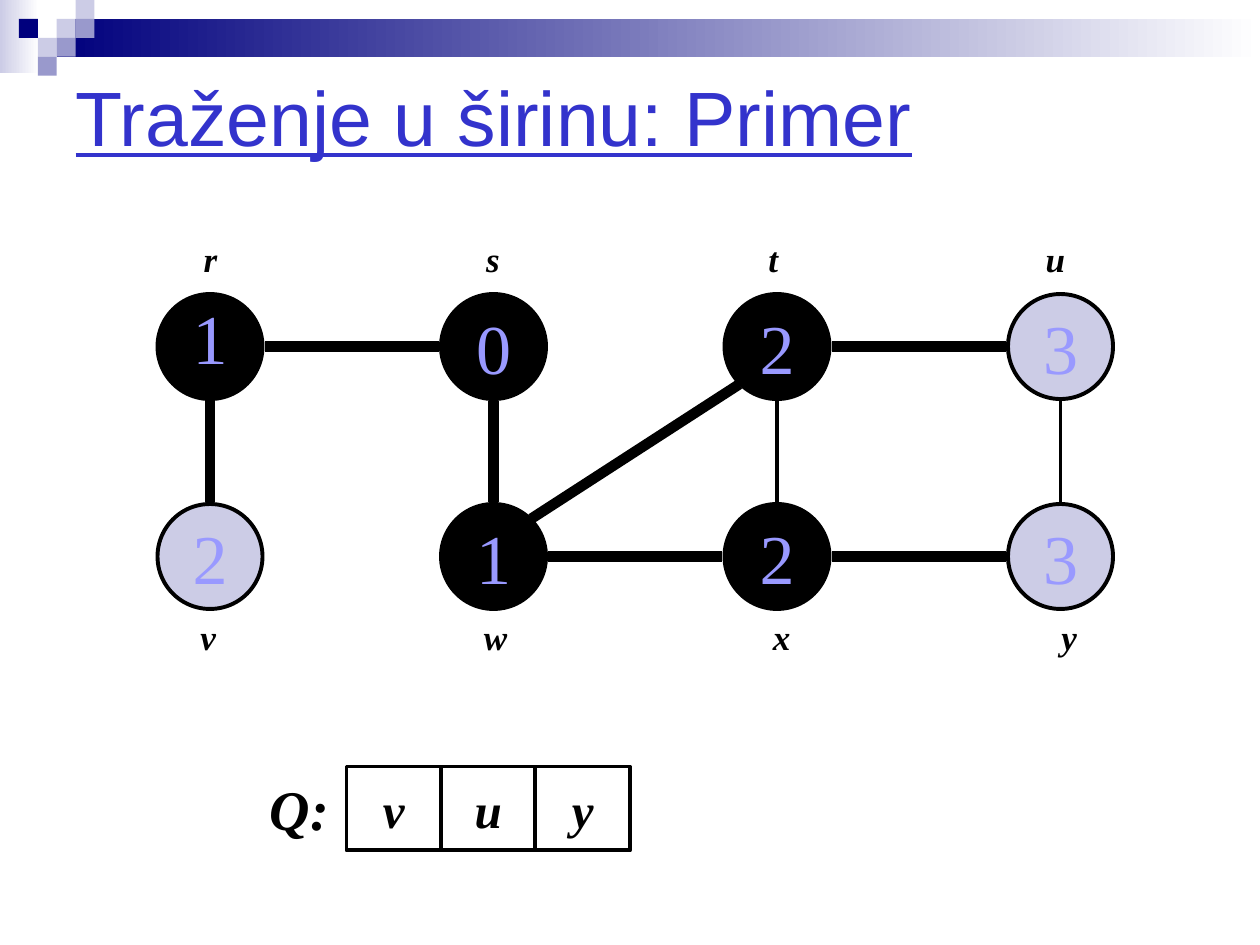
from lxml.etree import SubElement
from pptx import Presentation
from pptx.dml.color import RGBColor
from pptx.enum.shapes import MSO_CONNECTOR as CONNECTOR, MSO_SHAPE as SHAPE
from pptx.enum.text import MSO_ANCHOR as ANCHOR, MSO_AUTO_SIZE as AUTO, PP_ALIGN as ALIGN
from pptx.oxml.ns import qn
from pptx.util import Pt

PX = 7620  # EMU per px, 120 px to the inch
COLORS = {"navy": "00007D", "mid": "9999CC", "pale": "CCCCE6", "white": "FFFFFF",
          "title": "3333CC", "number": "9999FF", "black": "000000"}
SERIF = "Times New Roman"
THICK, THIN = 6, 2.25


def color(name):
    return RGBColor.from_string(COLORS[name])


def emu(*lengths):
    return [length * PX for length in lengths]


def set_text(shape, text, size, ink="black", bold=True):
    frame = shape.text_frame
    frame.word_wrap = False
    frame.vertical_anchor = ANCHOR.MIDDLE
    frame.text = text
    paragraph = frame.paragraphs[0]
    paragraph.alignment = ALIGN.CENTER
    font = paragraph.font
    font.name, font.size = SERIF, Pt(size)
    font.bold = font.italic = bold
    font.color.rgb = color(ink)
    return paragraph


def add_outlined(slide, kind, box, fill=None):
    shape = slide.shapes.add_shape(kind, *emu(*box))
    shape.shadow.inherit = False
    if fill:
        shape.fill.solid()
        shape.fill.fore_color.rgb = color(fill)
    else:
        shape.fill.background()
    shape.line.color.rgb = color("black")
    shape.line.width = Pt(THIN)
    return shape


def add_banner(slide, left, top, width):
    group = slide.shapes.add_group_shape()

    def add_block(x, y, w, h, *tones):
        block = group.shapes.add_shape(SHAPE.RECTANGLE, *emu(left + x, top + y, w, h))
        block.shadow.inherit = False
        block.line.fill.background()
        if len(tones) == 1:
            block.fill.solid()
            block.fill.fore_color.rgb = color(tones[0])
        else:
            block.fill.gradient()
            block.fill.gradient_angle = 0
            for stop, tone in zip(block.fill.gradient_stops, tones):
                stop.color.rgb = color(tone)

    # Fading bands
    add_block(0, 0, 37, 70, "pale", "white")
    add_block(54, 18, width - 54, 36, "navy", "white")
    # Mosaic of squares
    side = 18
    for column, row, tone in [(3, 1, "pale"), (4, 0, "pale"), (4, 1, "mid"), (2, 2, "pale"),
                              (1, 1, "navy"), (3, 2, "mid"), (2, 3, "mid")]:
        add_block(column * side, row * side, side, side, tone)


def add_title(slide, box, text):
    title = slide.shapes.title
    title.left, title.top, title.width, title.height = emu(*box)
    frame = title.text_frame
    frame.text = text
    frame.vertical_anchor = ANCHOR.MIDDLE
    frame.auto_size = AUTO.NONE
    paragraph = frame.paragraphs[0]
    paragraph.alignment = ALIGN.LEFT
    font = paragraph.font
    font.name, font.size, font.underline = "Arial", Pt(44), True
    font.color.rgb = color("title")


def add_edge(slide, start, end, weight):
    # Diagonals leave a node at 45 degrees, the others at a side
    step_x, step_y = [(b > a) - (b < a) for a, b in zip(start, end)]
    reach = 36 if step_x and step_y else 52
    edge = slide.shapes.add_connector(CONNECTOR.STRAIGHT, *emu(
        start[0] + step_x * reach, start[1] + step_y * reach,
        end[0] - step_x * reach, end[1] - step_y * reach))
    edge.line.color.rgb = color("black")
    edge.line.width = Pt(weight)
    SubElement(edge._element.spPr, qn("a:effectLst"))


def add_graph(slide, left, top):
    diameter, pitch_x, pitch_y = 100, 270, 200
    label_tops = (-60, 300)
    # Name, distance, fill, label shift from the node's centre, label width
    rows = [
        [("r", "1", "black", 0, 37), ("s", "0", "black", -1, 37),
         ("t", "2", "black", -4, 32), ("u", "3", "pale", -5, 42)],
        [("v", "2", "pale", -2, 38), ("w", "1", "black", 2, 46),
         ("x", "2", "black", 4, 41), ("y", "3", "pale", 8, 38)],
    ]
    centers = {}
    for row, nodes in enumerate(rows):
        for column, (name, distance, fill, shift, label_width) in enumerate(nodes):
            x, y = left + column * pitch_x, top + row * pitch_y
            center_x = x + diameter // 2
            centers[name] = (center_x, y + diameter // 2)
            node = add_outlined(slide, SHAPE.OVAL, (x, y, diameter, diameter), fill)
            paragraph = set_text(node, distance, 40, "number", bold=False)
            if name == "r":
                paragraph.line_spacing = 0.7
            label = slide.shapes.add_textbox(*emu(
                center_x + shift - label_width // 2, top + label_tops[row], label_width, 53))
            set_text(label, name, 20)
            label.text_frame.vertical_anchor = ANCHOR.TOP
            label.text_frame.auto_size = AUTO.SHAPE_TO_FIT_TEXT

    # Tree edges are thick, the rest thin
    for weight, pairs in [(THICK, "vr rs sw wt wx tu xy"), (THIN, "xt yu")]:
        for start, end in pairs.split():
            add_edge(slide, centers[start], centers[end], weight)


def add_queue(slide, left, top, items):
    width, height = 90, 80
    caption = slide.shapes.add_textbox(*emu(left, top, width, height))
    set_text(caption, "Q:", 32)
    for index, item in enumerate(items, start=1):
        cell = add_outlined(slide, SHAPE.RECTANGLE, (left + index * width, top, width, height))
        set_text(cell, item, 28)


def main():
    deck = Presentation()
    deck.slide_width, deck.slide_height = emu(1200, 900)
    slide = deck.slides.add_slide(deck.slide_layouts[5])
    add_banner(slide, 0, 0, 1200)
    add_title(slide, (60, 60, 1080, 100), "Traženje u širinu: Primer")
    add_graph(slide, 150, 280)
    add_queue(slide, 240, 730, "vuy")
    deck.save("out.pptx")


if __name__ == "__main__":
    main()
